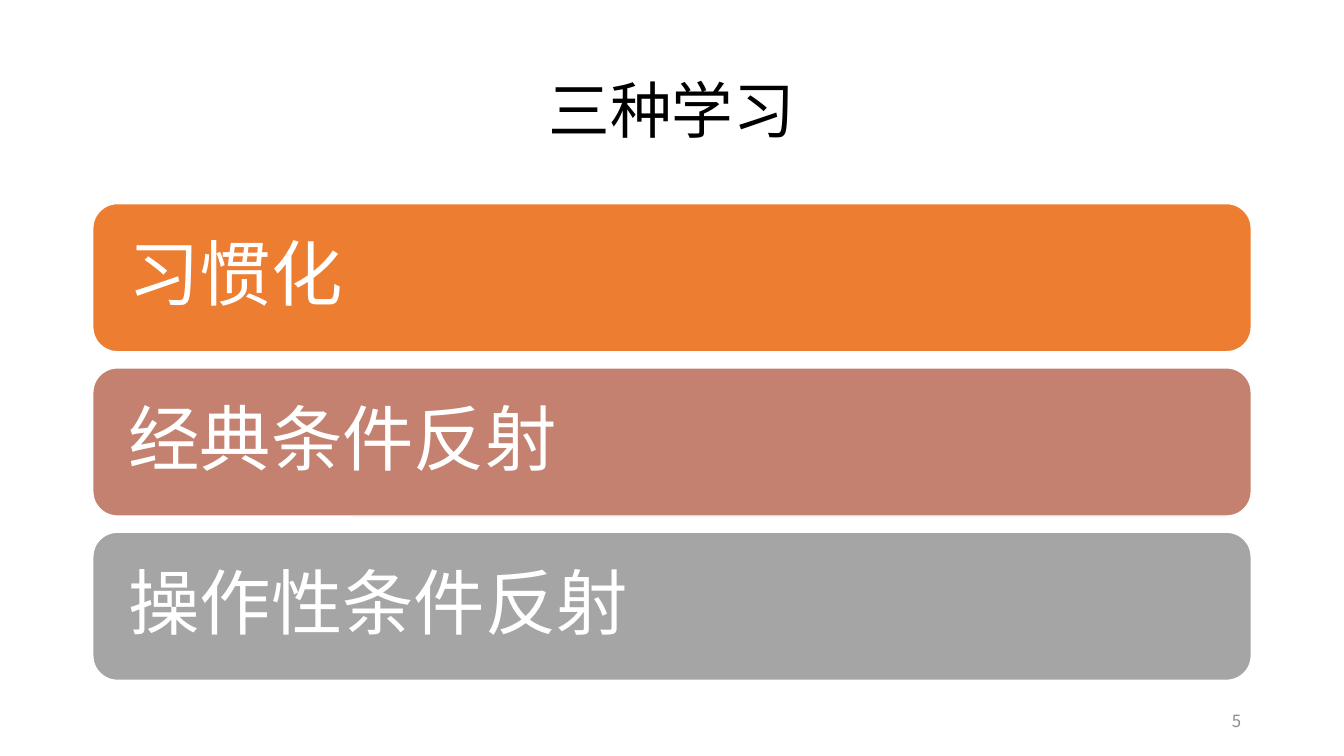
"""Build the slide listing three kinds of learning."""
from dataclasses import dataclass

from lxml.etree import SubElement
from pptx import Presentation
from pptx.dml.color import RGBColor
from pptx.enum.shapes import MSO_SHAPE as Shape
from pptx.enum.text import MSO_ANCHOR as Anchor, PP_ALIGN as Align
from pptx.oxml.ns import qn
from pptx.slide import Slide
from pptx.text.text import TextFrame
from pptx.util import Inches, Pt

FONT = "Noto Sans CJK SC"
BLACK = RGBColor(0x00, 0x00, 0x00)
WHITE = RGBColor(0xFF, 0xFF, 0xFF)
ORANGE = RGBColor(0xED, 0x7D, 0x31)
ROSE = RGBColor(0xC4, 0x81, 0x70)
GRAY = RGBColor(0xA5, 0xA5, 0xA5)
PAGE_GRAY = RGBColor(0x8C, 0x8C, 0x8C)

SLIDE_W, SLIDE_H = Inches(13.33), Inches(7.5)
MARGIN = Inches(0.92)
CONTENT_W = SLIDE_W - 2 * MARGIN
BARS_TOP = Inches(2.02)
BAR_H = Inches(1.47)
ROW_PITCH = Inches(1.63)
BAR_INSET = Inches(0.28)
PAGE_W = Inches(3)


@dataclass(frozen=True)
class Bar:
    text: str
    color: RGBColor


BARS = [
    Bar("习惯化", ORANGE),
    Bar("经典条件反射", ROSE),
    Bar("操作性条件反射", GRAY),
]


def write(tf: TextFrame, text: str, size: int, color: RGBColor,
          align: Align, spacing: float = 0.9) -> None:
    tf.word_wrap = True
    tf.vertical_anchor = Anchor.MIDDLE
    p = tf.paragraphs[0]
    p.text = text
    p.alignment = align
    p.line_spacing = spacing
    p.font.size = Pt(size)
    p.font.name = FONT
    p.font.color.rgb = color
    props = p._p.pPr.find(qn("a:defRPr"))
    SubElement(props, qn("a:ea")).set("typeface", FONT)


def add_bar(s: Slide, row: int, bar: Bar) -> None:
    sp = s.shapes.add_shape(Shape.ROUNDED_RECTANGLE, MARGIN,
                            BARS_TOP + row * ROW_PITCH, CONTENT_W, BAR_H)
    sp.shadow.inherit = False
    sp.fill.solid()
    sp.fill.fore_color.rgb = bar.color
    sp.line.color.rgb = WHITE
    sp.line.width = Pt(1)
    tf = sp.text_frame
    tf.margin_left = tf.margin_right = BAR_INSET
    write(tf, bar.text, 51, WHITE, Align.LEFT)


def main() -> None:
    prs = Presentation()
    prs.slide_width, prs.slide_height = SLIDE_W, SLIDE_H
    s = prs.slides.add_slide(prs.slide_layouts[6])
    title = s.shapes.add_textbox(MARGIN, Inches(0.4), CONTENT_W, Inches(1.45))
    write(title.text_frame, "三种学习", 44, BLACK, Align.CENTER)
    for row, bar in enumerate(BARS):
        add_bar(s, row, bar)
    page = s.shapes.add_textbox(SLIDE_W - MARGIN - PAGE_W, Inches(6.95),
                                PAGE_W, Inches(0.4))
    write(page.text_frame, "5", 12, PAGE_GRAY, Align.RIGHT, 1.0)
    prs.save("out.pptx")


if __name__ == "__main__":
    main()
